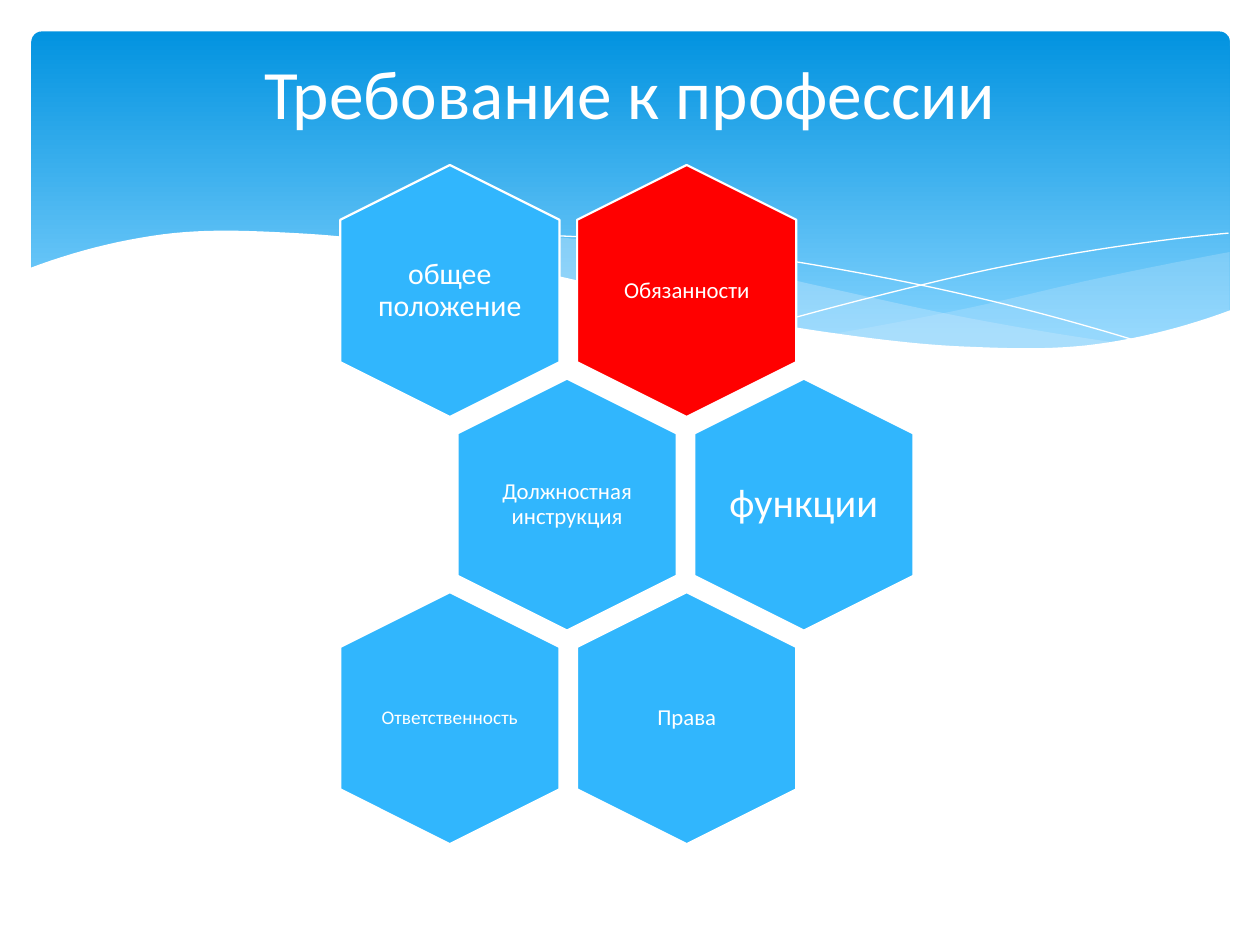
from lxml import etree
from pptx import Presentation
from pptx.dml.color import RGBColor
from pptx.enum.shapes import MSO_SHAPE
from pptx.enum.text import MSO_ANCHOR, MSO_AUTO_SIZE, PP_ALIGN
from pptx.oxml.ns import qn
from pptx.util import Inches, Pt

HEXAGON = MSO_SHAPE.HEXAGON
ROUNDED = MSO_SHAPE.ROUNDED_RECTANGLE
MIDDLE, TOP = MSO_ANCHOR.MIDDLE, MSO_ANCHOR.TOP
CENTER = PP_ALIGN.CENTER
NO_AUTOFIT = MSO_AUTO_SIZE.NONE

WHITE = RGBColor(0xFF, 0xFF, 0xFF)
SKY = RGBColor(0x31, 0xB6, 0xFD)
RED = RGBColor(0xFF, 0x00, 0x00)
DEEP_BLUE = RGBColor(0x02, 0x93, 0xE0)
PALE_BLUE = RGBColor(0x83, 0xD3, 0xFE)
MIST = RGBColor(0xC6, 0xE7, 0xFC)
FONT = "Calibri"
CURVE_STEPS = 12  # straight pieces between two neighbouring heights

# Text, column, row, size, inset, fill
DUTIES = [
    ("Обязанности", 1, 0, 13, 0.05, RED),
    ("общее положение", 0, 0, 17, 0, SKY),
    ("Должностная инструкция", 0, 1, 13, 0.05, SKY),
    ("функции", 1, 1, 23, 0, SKY),
    ("Права", 1, 2, 13, 0.05, SKY),
    ("Ответственность", 0, 2, 11, 0, SKY),
]


def write_text(holder, text, size, anchor=MIDDLE, inset=0.05, spacing=None):
    frame = holder.text_frame
    frame.word_wrap = True
    frame.auto_size = NO_AUTOFIT
    frame.vertical_anchor = anchor
    frame.margin_left = frame.margin_right = Inches(inset)
    frame.margin_top = frame.margin_bottom = Inches(inset)
    line = frame.paragraphs[0]
    line.text = text
    line.alignment = CENTER
    line.line_spacing = spacing
    font = line.runs[0].font
    font.name, font.size, font.color.rgb = FONT, Pt(size), WHITE


def smooth_curve(left, right, heights):
    """Points of a Catmull-Rom curve through heights spaced evenly in x."""
    # One extra height at each end continues the bend of the outer three
    before = 3 * heights[0] - 3 * heights[1] + heights[2]
    after = 3 * heights[-1] - 3 * heights[-2] + heights[-3]
    padded = [before, *heights, after]
    spans = len(heights) - 1
    points = []
    for i in range(spans * CURVE_STEPS + 1):
        span = min(i // CURVE_STEPS, spans - 1)
        t = i / CURVE_STEPS - span
        a, b, c, d = padded[span:span + 4]
        y = b + t / 2 * (c - a + t * (2 * a - 5 * b + 4 * c - d
                                      + t * (3 * b - 3 * c + d - a)))
        x = left + (right - left) * i / (spans * CURVE_STEPS)
        points.append((x, y))
    return points


def draw_path(slide, points, closed):
    start, *rest = [(Inches(x), Inches(y)) for x, y in points]
    builder = slide.shapes.build_freeform(*start)
    builder.add_line_segments(rest, close=closed)
    path = builder.convert_to_shape()
    path.shadow.inherit = False
    return path


def add_wave(slide, left, right, upper, lower, color, opacity=100):
    """Filled band between an upper and a lower curve."""
    outline = smooth_curve(left, right, upper)
    outline += reversed(smooth_curve(left, right, lower))
    wave = draw_path(slide, outline, closed=True)
    wave.line.fill.background()
    wave.fill.solid()
    wave.fill.fore_color.rgb = color
    if opacity < 100:
        fill_color = wave.fill._xPr.find(qn("a:solidFill"))[0]
        etree.SubElement(fill_color, qn("a:alpha"), val=str(opacity * 1000))


def add_hairline(slide, left, right, heights):
    hairline = draw_path(slide, smooth_curve(left, right, heights), closed=False)
    hairline.fill.background()
    hairline.line.color.rgb = WHITE
    hairline.line.width = Pt(0)


def add_panel(slide, left, top, width, height):
    panel = slide.shapes.add_shape(ROUNDED, left, top, width, height)
    panel.adjustments[0] = 0.03
    panel.shadow.inherit = False
    panel.line.fill.background()
    panel.fill.gradient()
    panel.fill.gradient_angle = 270
    stops = panel.fill.gradient_stops
    for stop, position, color in zip(stops, (0, 0.9), (DEEP_BLUE, PALE_BLUE)):
        stop.position = position
        stop.color.rgb = color


def add_header(slide, left, top, width, height):
    add_panel(slide, left, top, width, height)
    # Wave heights are inches below the panel's top, x is from its left side
    x0, y0 = left.inches, top.inches

    def place(start, end, *edges):
        return (x0 + start, x0 + end,
                *([y0 + depth for depth in edge] for edge in edges))

    # Translucent waves
    add_wave(slide, *place(6.36, 9.51, (2.4, 2.2, 1.96, 1.75),
                           (2.4, 2.51, 2.49, 2.22)), MIST, opacity=29)
    add_wave(slide, *place(2.61, 8.68, (1.66, 1.61, 1.75, 2.02, 2.28, 2.48),
                           (1.66, 1.87, 2.15, 2.39, 2.52, 2.48)),
             MIST, opacity=40)
    # Crossing hairlines
    add_hairline(slide, *place(2.84, 8.82, (1.7, 1.62, 1.71, 1.89, 2.14, 2.47)))
    add_hairline(slide, *place(5.88, 9.5, (2.32, 2.08, 1.87, 1.71, 1.6)))
    # White wave that cuts off the panel's foot
    crest = (1.88, 1.61, 1.6, 1.72, 1.95, 2.2, 2.39, 2.5, 2.48, 2.21)
    foot = (3.04,) * len(crest)
    add_wave(slide, *place(-0.02, 9.52, crest, foot), WHITE)


def add_honeycomb(slide, left, top, width, height):
    cell_width, cell_height = Inches(2), Inches(1.74)
    label_width, label_height = Inches(1.2), Inches(1.37)
    column_step = Inches(1.88)
    row_step = (height - cell_height) // 2
    row_shift = width - cell_width - column_step
    for text, column, row, size, inset, fill in DUTIES:
        # Odd rows are moved right, so the cells interlock
        x = left + column * column_step + row % 2 * row_shift
        y = top + row * row_step
        cell = slide.shapes.add_shape(HEXAGON, x, y, cell_width, cell_height)
        cell.rotation = 90
        cell.adjustments[0] = 0.25
        cell.shadow.inherit = False
        cell.fill.solid()
        cell.fill.fore_color.rgb = fill
        cell.line.color.rgb = WHITE
        cell.line.width = Pt(1.25)
        # Upright label centred on the turned hexagon
        label = slide.shapes.add_textbox(
            x + (cell_width - label_width) // 2,
            y + (cell_height - label_height) // 2, label_width, label_height)
        write_text(label, text, size, inset=inset, spacing=0.9)


def add_title(slide, left, top, width, height):
    title = slide.shapes.title
    title.left, title.top, title.width, title.height = left, top, width, height
    write_text(title, "Требование к профессии", 39.6, anchor=TOP, inset=0.03)
    slide.shapes._spTree.append(title._element)  # bring in front of the header


def main():
    deck = Presentation()
    deck.slide_width, deck.slide_height = Inches(10), Inches(7.5)
    slide = deck.slides.add_slide(deck.slide_layouts[5])
    add_header(slide, Inches(0.25), Inches(0.25), Inches(9.51), Inches(2.7))
    add_honeycomb(slide, Inches(2.57), Inches(1.44), Inches(4.81), Inches(5.13))
    add_title(slide, Inches(0.5), Inches(0.37), Inches(9), Inches(1.37))
    deck.save("out.pptx")


if __name__ == "__main__":
    main()
